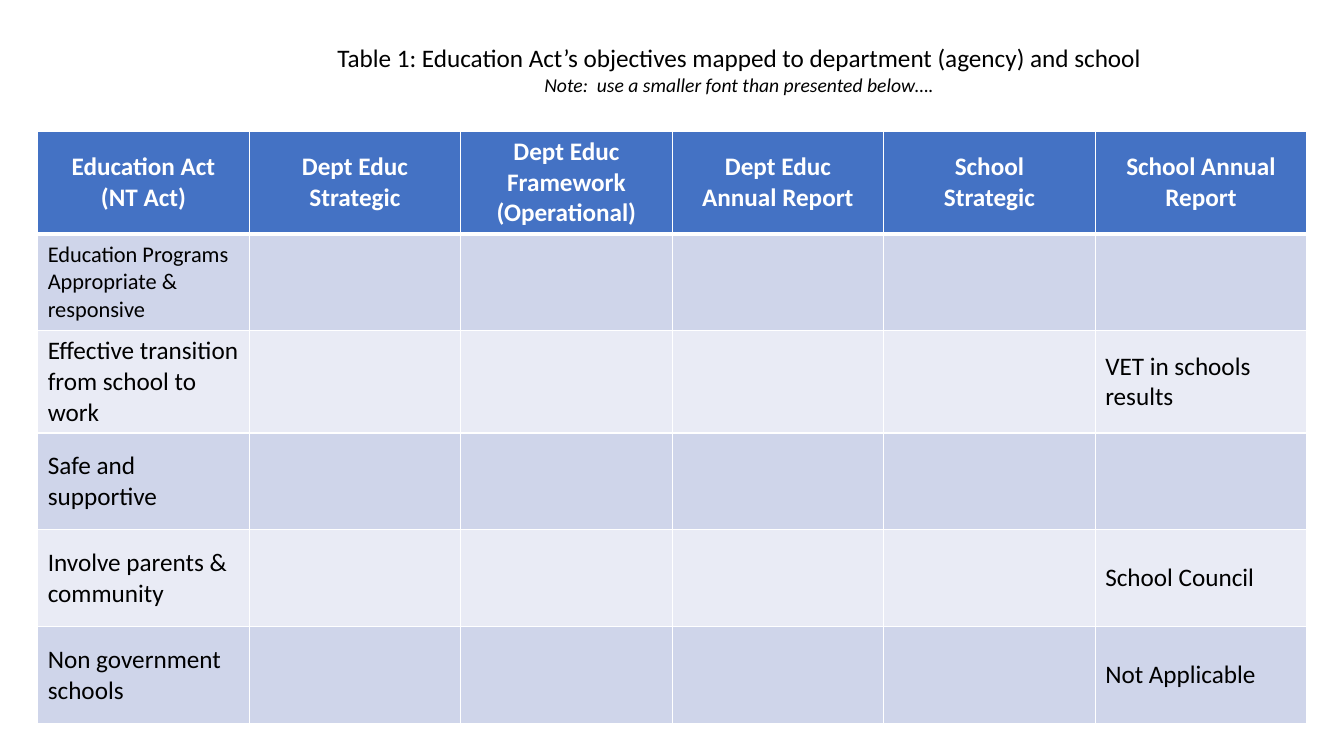
from lxml import etree
from pptx import Presentation
from pptx.dml.color import RGBColor
from pptx.enum.text import MSO_ANCHOR, MSO_AUTO_SIZE, PP_ALIGN
from pptx.oxml.ns import qn
from pptx.util import Cm, Pt

LEFT, CENTER = PP_ALIGN.LEFT, PP_ALIGN.CENTER
MIDDLE = MSO_ANCHOR.MIDDLE
FIT_SHAPE = MSO_AUTO_SIZE.SHAPE_TO_FIT_TEXT

COLORS = {"header": "4472C4", "odd": "CFD5EA", "even": "E9EBF5",
          "text": "000000", "light": "FFFFFF"}

HEADERS = ["Education Act\n(NT Act)", "Dept Educ\nStrategic",
           "Dept Educ\nFramework\n(Operational)", "Dept Educ\nAnnual Report",
           "School\nStrategic", "School Annual Report"]
# Objective, school annual report entry, font size
OBJECTIVES = [
    ("Education Programs\nAppropriate & responsive", "", 16),
    ("Effective transition from school to work", "VET in schools results", 18),
    ("Safe and supportive", "", 18),
    ("Involve parents & community", "School Council", 18),
    ("Non government schools", "Not Applicable", 18),
]
COL_WIDTH, HEADER_HEIGHT, ROW_HEIGHT = 5.33, 2.51, 2.44


class SlideBuilder:
    """Hold the text style and the current slide."""

    def __init__(self, slide, font="Calibri"):
        """Keep the slide and the font name."""
        self.s, self.font = slide, font

    def add_text(self, p, text, color="text", align=LEFT, **fmt):
        """Fill a paragraph with one formatted run."""
        p.alignment = align
        r = p.add_run()
        r.text = text
        r.font.color.rgb = RGBColor.from_string(COLORS[color])
        for name, value in {"name": self.font, "size": Pt(18), **fmt}.items():
            setattr(r.font, name, value)

    def paragraphs(self, tf, count):
        """Return the given number of paragraphs of an empty text frame."""
        return [tf.paragraphs[0]] + [tf.add_paragraph() for _ in range(count - 1)]

    def caption(self, left, top, width, height, title, note):
        """Add the table title with its note below."""
        sp = self.s.shapes.add_textbox(Cm(left), Cm(top), Cm(width), Cm(height))
        tf = sp.text_frame
        tf.word_wrap, tf.auto_size = False, FIT_SHAPE
        first, second = self.paragraphs(tf, 2)
        self.add_text(first, title)
        self.add_text(second, note, align=CENTER, size=Pt(14), italic=True)

    def borders(self, cell, **widths):
        """Draw white cell borders; widths are points by side tag."""
        tc_pr = cell._tc.get_or_add_tcPr()
        for i, (side, width) in enumerate(widths.items()):
            ln = etree.Element(qn(f"a:{side}"), w=str(Pt(width)))
            fill = etree.SubElement(ln, qn("a:solidFill"))
            etree.SubElement(fill, qn("a:srgbClr"), val=COLORS["light"])
            tc_pr.insert(i, ln)

    def cell(self, cell, text, fill, top=1, bottom=1, **fmt):
        """Style one table cell and add its lines of text."""
        cell.fill.solid()
        cell.fill.fore_color.rgb = RGBColor.from_string(COLORS[fill])
        cell.vertical_anchor = MIDDLE
        self.borders(cell, lnL=1, lnR=1, lnT=top, lnB=bottom)
        lines = text.split("\n") if text else []
        for p, line in zip(self.paragraphs(cell.text_frame, len(lines)), lines):
            self.add_text(p, line, **fmt)

    def table(self, left, top, headers, objectives):
        """Add the mapping table with a header and banded rows."""
        n_rows, n_cols = len(objectives) + 1, len(headers)
        height = HEADER_HEIGHT + ROW_HEIGHT * len(objectives)
        table = self.s.shapes.add_table(
            n_rows, n_cols, Cm(left), Cm(top), Cm(COL_WIDTH * n_cols), Cm(height)).table
        for col in table.columns:
            col.width = Cm(COL_WIDTH)
        for i, row in enumerate(table.rows):
            row.height = Cm(ROW_HEIGHT if i else HEADER_HEIGHT)
        for c, text in enumerate(headers):
            self.cell(table.cell(0, c), text, "header", bottom=3,
                      color="light", align=CENTER, bold=True)
        for i, (objective, report, size) in enumerate(objectives, 1):
            texts = [objective] + [""] * (n_cols - 2) + [report]
            for c, text in enumerate(texts):
                self.cell(table.cell(i, c), text, "odd" if i % 2 else "even",
                          top=3 if i == 1 else 1, size=Pt(size), bold=False)


def main():
    """Build the slide and save it."""
    prs = Presentation()
    prs.slide_width, prs.slide_height = Cm(33.87), Cm(19.05)
    builder = SlideBuilder(prs.slides.add_slide(prs.slide_layouts[6]))
    builder.table(0.95, 3.31, HEADERS, OBJECTIVES)
    builder.caption(8.25, 0.95, 21.03, 1.63,
                    "Table 1: Education Act’s objectives mapped to department (agency) and school",
                    "Note:  use a smaller font than presented below….")
    prs.save("out.pptx")


main()
